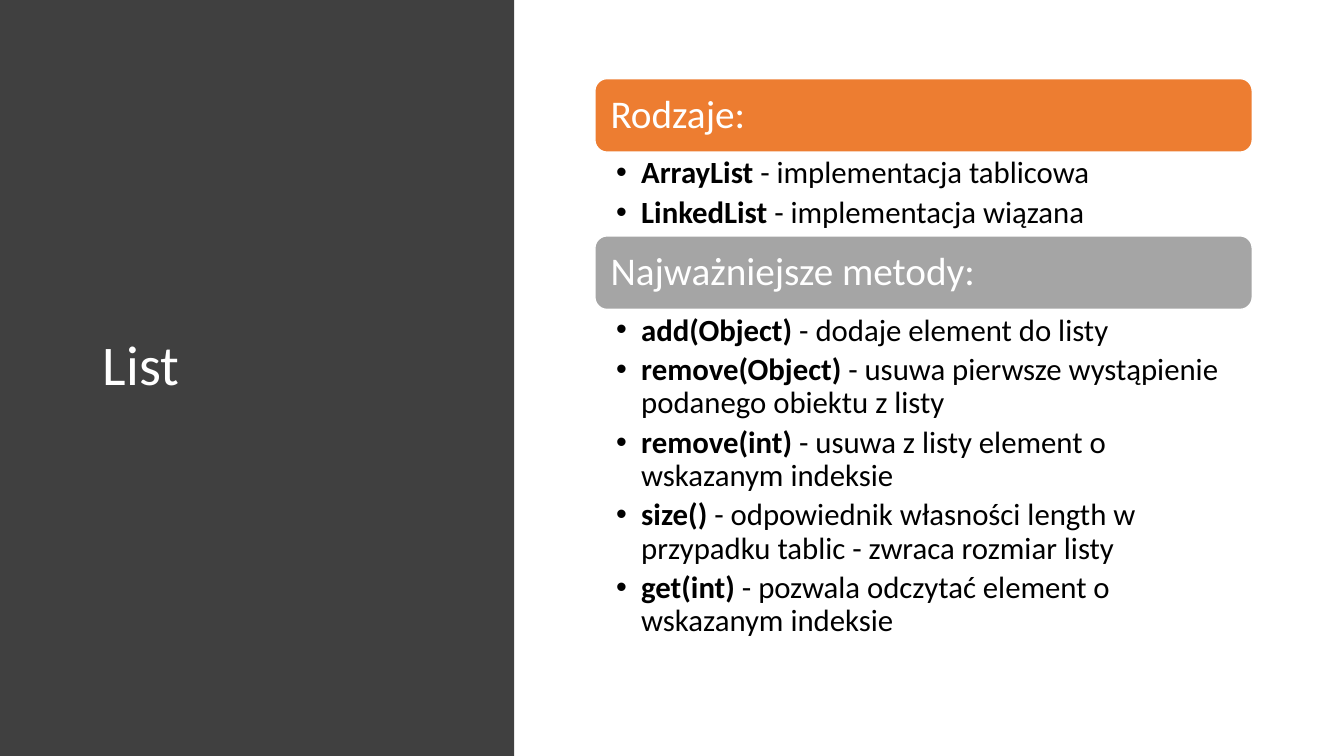
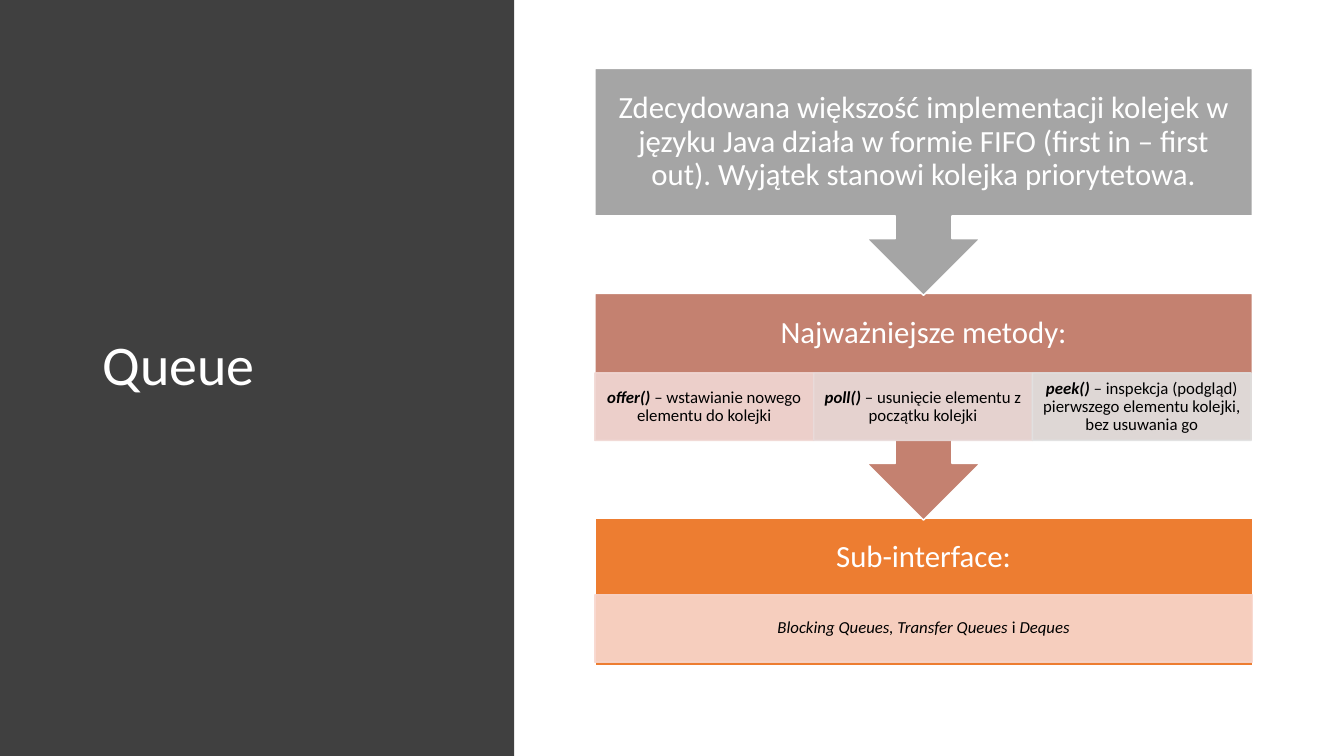
from dataclasses import dataclass

from lxml import etree
from pptx import Presentation
from pptx.dml.color import RGBColor
from pptx.enum.shapes import MSO_SHAPE
from pptx.enum.text import MSO_ANCHOR, PP_ALIGN
from pptx.oxml.ns import qn
from pptx.util import Pt

RECT = MSO_SHAPE.RECTANGLE
ROUND = MSO_SHAPE.ROUNDED_RECTANGLE
ARROW = MSO_SHAPE.DOWN_ARROW_CALLOUT
LEFT, CENTER = PP_ALIGN.LEFT, PP_ALIGN.CENTER
TOP, MIDDLE = MSO_ANCHOR.TOP, MSO_ANCHOR.MIDDLE
PX = 9144


@dataclass(frozen=True)
class Theme:
    font: str = "Calibri"
    dark: str = "404040"
    white: str = "FFFFFF"
    black: str = "000000"
    orange: str = "ED7D31"
    gray: str = "A5A5A5"
    clay: str = "C48170"
    peach: str = "F8D7CE"
    rose: str = "F1D8D4"
    blush: str = "E9DBDA"
    silver: str = "E1E1E1"
    title: int = 40
    head: int = 28
    body: int = 22
    small: int = 12


T = Theme()


def draw(slide, kind, box, fill, line=None, alpha=None):
    shape = slide.shapes.add_shape(kind, *[n * PX for n in box])
    shape.shadow.inherit = False
    shape.fill.solid()
    shape.fill.fore_color.rgb = RGBColor.from_string(fill)
    if line:
        shape.line.color.rgb = RGBColor.from_string(line)
        shape.line.width = Pt(1)
    else:
        shape.line.fill.background()
    if alpha:
        for tint in shape._element.spPr.iter(qn("a:srgbClr")):
            etree.SubElement(tint, qn("a:alpha"), val=str(alpha * 1000))
    return shape


def write(shape, paras, size, color, pad, align=LEFT, anchor=MIDDLE, gap=0.35, bullet=False):
    frame = shape.text_frame
    frame.word_wrap = True
    frame.vertical_anchor = anchor
    frame.margin_left, frame.margin_top, frame.margin_right, frame.margin_bottom = [n * PX for n in pad]
    for i, parts in enumerate(paras):
        para = frame.add_paragraph() if i else frame.paragraphs[0]
        para.alignment = align
        para.line_spacing = 0.9
        para.space_after = Pt(size * gap)
        if bullet:
            props = para._p.get_or_add_pPr()
            props.set("marL", str(25 * PX))
            props.set("indent", str(-25 * PX))
            etree.SubElement(props, qn("a:buFont"), typeface="Arial")
            etree.SubElement(props, qn("a:buChar"), char="•")
        for text, style in parts:
            run = para.add_run()
            run.text = text
            run.font.name = T.font
            run.font.size = Pt(size)
            run.font.color.rgb = RGBColor.from_string(color)
            run.font.bold = "b" in style
            run.font.italic = "i" in style


deck = Presentation()
deck.slide_width, deck.slide_height = 1333 * PX, 750 * PX

pages = []
for name in ("List", "Queue"):
    page = deck.slides.add_slide(deck.slide_layouts[6])
    draw(page, RECT, (0, 0, 510, 750), T.dark)
    title = page.shapes.add_textbox(92 * PX, 68 * PX, 367 * PX, 592 * PX)
    write(title, [[(name, "")]], T.title, T.white, (10, 5, 10, 5), gap=0)
    pages.append(page)
lists, queue = pages

X, WIDE = 590, 652

BAR = 73
groups = [
    (78, 82, T.orange, "Rodzaje:", [
        ("ArrayList ", "- implementacja tablicowa"),
        ("LinkedList ", "- implementacja wiązana"),
    ]),
    (234, 342, T.gray, "Najważniejsze metody:", [
        ("add(Object)", " - dodaje element do listy"),
        ("remove(Object)", " - usuwa pierwsze wystąpienie podanego obiektu z listy"),
        ("remove(int) ", "- usuwa z listy element o wskazanym indeksie"),
        ("size()", " - odpowiednik własności length w przypadku tablic - zwraca rozmiar listy"),
        ("get(int)", " - pozwala odczytać element o wskazanym indeksie"),
    ]),
]
for top, tall, fill, head, items in groups:
    bar = draw(lists, ROUND, (X, top, WIDE, BAR), fill, T.white)
    write(bar, [[(head, "")]], T.head, T.white, (12, 12, 12, 12))
    body = lists.shapes.add_textbox(X * PX, (top + BAR + 1) * PX, WIDE * PX, tall * PX)
    paras = [[(term, "b"), (note, "")] for term, note in items]
    write(body, paras, T.body, T.black, (21, 4, 22, 4), anchor=TOP, gap=0.2, bullet=True)

BODY, HEAD, PAD = 146, 79, 17
steps = [
    (RECT, 514, BODY, T.orange, "Sub-interface:", 76, [
        (T.peach, [("Blocking Queues, Transfer Queues ", "i"), ("i ", ""), ("Deques", "i")]),
    ]),
    (ARROW, 291, 225, T.clay, "Najważniejsze metody:", HEAD, [
        (T.rose, [("offer()", "bi"), (" – wstawianie nowego elementu do kolejki", "")]),
        (T.blush, [("poll() ", "bi"), ("– usunięcie elementu z początku kolejki", "")]),
        (T.silver, [("peek()", "bi"), (" – ", "i"),
                    ("inspekcja (podgląd) pierwszego elementu kolejki, bez usuwania go", "")]),
    ]),
    (ARROW, 68, 225, T.gray,
     "Zdecydowana większość implementacji kolejek w języku Java działa w formie FIFO "
     "(first in – first out). Wyjątek stanowi kolejka priorytetowa.", BODY, []),
]
for kind, top, tall, fill, head, drop, cells in steps:
    step = draw(queue, kind, (X, top, WIDE, tall), fill, T.white)
    foot = PAD + BODY - HEAD if cells else PAD
    write(step, [[(head, "")]], T.body, T.white, (PAD, PAD, PAD, foot), CENTER)
    for i, (tint, parts) in enumerate(cells):
        wide = WIDE // len(cells)
        cell = draw(queue, RECT, (X + i * wide, top + drop, wide, 67), tint, tint, 90)
        write(cell, [parts], T.small, T.black, (9, 2, 9, 2), CENTER)

deck.save("out.pptx")
